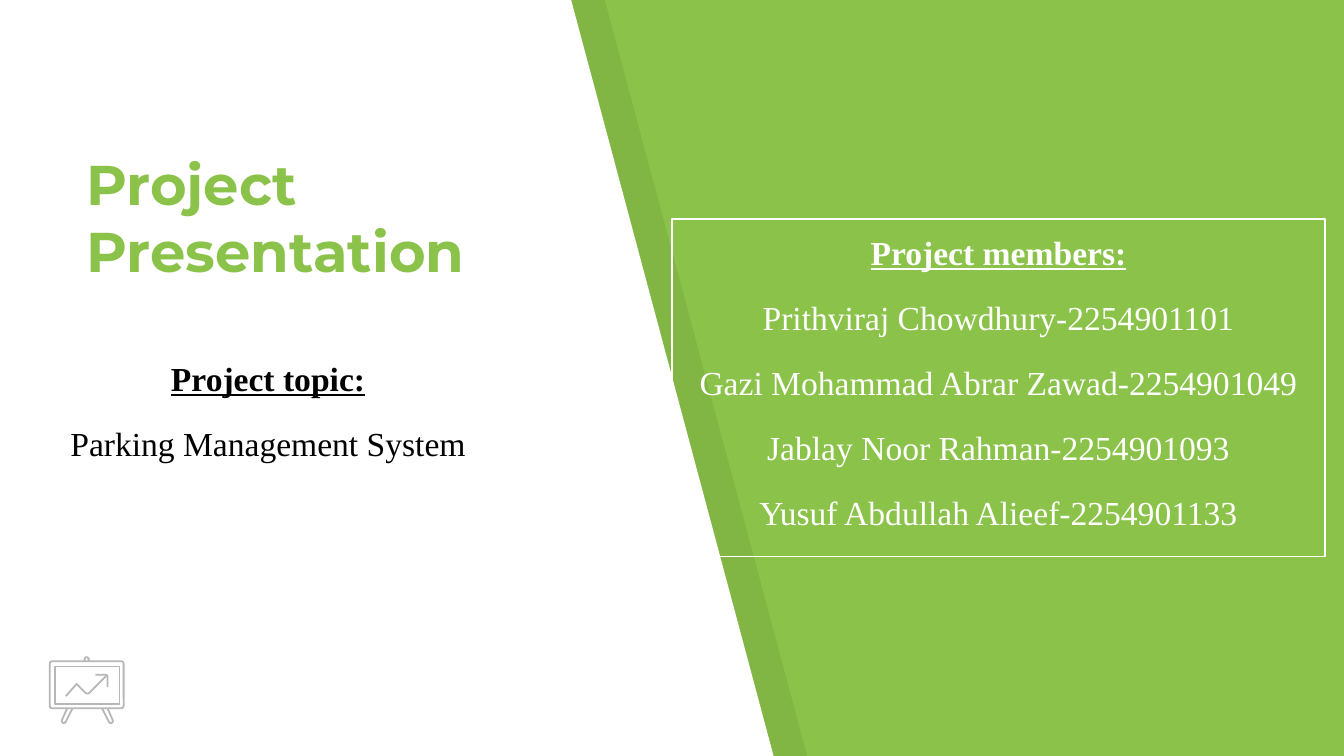
import pptx
import pptx.util
import pptx.dml.color
import pptx.enum.shapes
import pptx.enum.text
import pptx.oxml
import pptx.oxml.ns
from pptx.util import Inches

GREEN = "8BC34A"
WHITE = "FFFFFF"
BLACK = "000000"
GREY = "B7B7B7"
BOARD_CENTER = 0.65


def color(hex_string):
    return pptx.dml.color.RGBColor.from_string(hex_string)


def fill_shape(shape, hex_string, opacity=None):
    shape.shadow.inherit = False
    shape.fill.solid()
    shape.fill.fore_color.rgb = color(hex_string)
    shape.line.fill.background()
    if opacity is not None:
        color_element = shape.element.spPr.find(".//" + pptx.oxml.ns.qn("a:srgbClr"))
        alpha = pptx.oxml.parse_xml(
            f'<a:alpha {pptx.oxml.ns.nsdecls("a")} val="{opacity * 1000}"/>'
        )
        color_element.append(alpha)


def outline_shape(shape, hex_string, width):
    shape.shadow.inherit = False
    shape.fill.background()
    shape.line.color.rgb = color(hex_string)
    shape.line.width = pptx.util.Pt(width)


def add_freeform(shapes, points, close=False):
    corners = [(Inches(x), Inches(y)) for x, y in points]
    builder = shapes.build_freeform(*corners[0])
    builder.add_line_segments(corners[1:], close=close)
    return builder.convert_to_shape()


def add_panel(slide, left, hex_string, opacity=None):
    points = [(left + 0.01, -0.01), (left, 5.64), (left + 5.77, 5.64), (left + 4.26, 0)]
    panel = add_freeform(slide.shapes, points, close=True)
    fill_shape(panel, hex_string, opacity)


def add_title(slide, text):
    title = slide.shapes.title
    title.left, title.top = Inches(0.54), Inches(0.92)
    title.width, title.height = Inches(3.86), Inches(1.29)
    title.element.getparent().append(title.element)
    frame = title.text_frame
    frame.text = text
    frame.word_wrap = True
    frame.auto_size = pptx.enum.text.MSO_AUTO_SIZE.NONE
    frame.vertical_anchor = pptx.enum.text.MSO_ANCHOR.BOTTOM
    frame.margin_left = frame.margin_right = Inches(0.1)
    frame.margin_top = frame.margin_bottom = Inches(0.1)
    paragraph = frame.paragraphs[0]
    paragraph.alignment = pptx.enum.text.PP_ALIGN.LEFT
    paragraph.font.name = "Montserrat"
    paragraph.font.size = pptx.util.Pt(30)
    paragraph.font.bold = True
    paragraph.font.color.rgb = color(GREEN)


def write_list(shape, heading, entries, hex_string):
    frame = shape.text_frame
    frame.word_wrap = True
    frame.vertical_anchor = pptx.enum.text.MSO_ANCHOR.TOP
    frame.text = "\n".join([heading, *entries])
    for index, paragraph in enumerate(frame.paragraphs):
        paragraph.alignment = pptx.enum.text.PP_ALIGN.CENTER
        paragraph.line_spacing = 1.15
        paragraph.space_after = pptx.util.Pt(10)
        paragraph.font.name = "Times New Roman"
        paragraph.font.size = pptx.util.Pt(18)
        paragraph.font.bold = paragraph.font.underline = index == 0
        paragraph.font.color.rgb = color(hex_string)


def add_members(slide):
    rectangle = pptx.enum.shapes.MSO_SHAPE.RECTANGLE
    box = slide.shapes.add_shape(
        rectangle, Inches(5), Inches(1.63), Inches(4.86), Inches(2.51)
    )
    outline_shape(box, WHITE, 0.75)
    members = [
        "Prithviraj Chowdhury-2254901101",
        "Gazi Mohammad Abrar Zawad-2254901049",
        "Jablay Noor Rahman-2254901093",
        "Yusuf Abdullah Alieef-2254901133",
    ]
    write_list(box, "Project members:", members, WHITE)


def add_topic(slide):
    box = slide.shapes.add_textbox(
        Inches(-0.71), Inches(2.57), Inches(5.41), Inches(1.16)
    )
    write_list(box, "Project topic:", ["Parking Management System"], BLACK)


def add_board_icon(slide):
    shapes = slide.shapes.add_group_shape().shapes
    kinds = pptx.enum.shapes.MSO_SHAPE
    board = shapes.add_shape(
        kinds.ROUNDED_RECTANGLE, Inches(0.37), Inches(4.92), Inches(0.55), Inches(0.35)
    )
    board.adjustments[0] = 0.05
    screen = shapes.add_shape(
        kinds.RECTANGLE, Inches(0.41), Inches(4.96), Inches(0.48), Inches(0.28)
    )
    hook = [(0.63, 4.92), (0.63, 4.9), (0.64, 4.89), (0.65, 4.89), (0.66, 4.9), (0.66, 4.92)]
    left_leg = [
        (0.5, 5.27), (0.46, 5.36), (0.46, 5.37), (0.47, 5.38),
        (0.48, 5.38), (0.49, 5.37), (0.54, 5.27),
    ]
    right_leg = [(2 * BOARD_CENTER - x, y) for x, y in left_leg]
    trend = [(0.79, 5.03), (0.66, 5.16), (0.64, 5.16), (0.57, 5.09), (0.49, 5.18)]
    trend_head = [(0.71, 5.02), (0.79, 5.02), (0.8, 5.03), (0.8, 5.11)]
    strokes = [hook, left_leg, right_leg, trend, trend_head]
    lines = [add_freeform(shapes, points) for points in strokes]
    for shape in [board, screen, *lines]:
        outline_shape(shape, GREY, 0.96)


def main():
    presentation = pptx.Presentation()
    presentation.slide_width = Inches(10)
    presentation.slide_height = Inches(10 * 9 / 16)
    slide = presentation.slides.add_slide(presentation.slide_layouts[5])
    slide.background.fill.solid()
    slide.background.fill.fore_color.rgb = color(GREEN)
    add_panel(slide, 0.24, BLACK, opacity=7)
    add_panel(slide, -0.01, WHITE)
    add_title(slide, "Project Presentation")
    add_board_icon(slide)
    add_members(slide)
    add_topic(slide)
    presentation.save("out.pptx")


if __name__ == "__main__":
    main()
